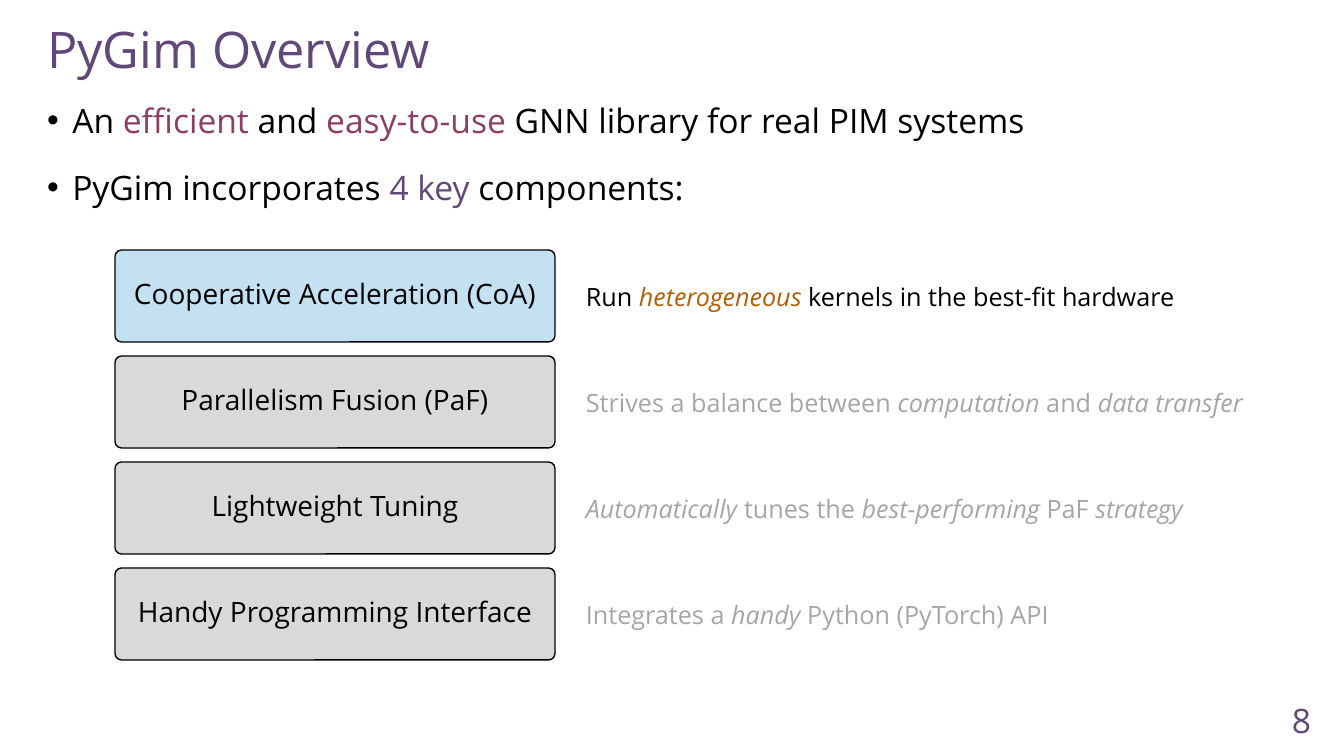
"""Build the PyGim overview slide with its four key components."""
from pptx import Presentation, util as u
from pptx.dml.color import RGBColor
from pptx.enum import shapes, text

PX = 914400 / 100.8
COLORS = {"purple": "604878", "plum": "8D3E64", "black": "000000", "orange": "B45F07",
          "muted": "A6A6A6", "blue": "C4E1F2", "gray": "D9D9D9"}


def rgb(name):
    return RGBColor.from_string(COLORS[name])


def write(p, runs, size):
    for words, color, italic in runs:
        r = p.add_run()
        r.text = words
        for key, value in {"name": "Open Sans", "size": u.Pt(size), "italic": italic}.items():
            setattr(r.font, key, value)
        r.font.color.rgb = rgb(color)


def px(*lengths):
    return [u.Emu(round(n * PX)) for n in lengths]


prs = Presentation()
prs.slide_width, prs.slide_height = px(1344, 756)
s = prs.slides.add_slide(prs.slide_layouts[1])

title, body = s.placeholders
for sp, top, height, anchor in [(title, 6, 93, text.MSO_ANCHOR.MIDDLE),
                                (body, 99, 153, text.MSO_ANCHOR.TOP)]:
    sp.left, sp.top, sp.width, sp.height = px(37, top, 1268, height)
    for key, value in {"vertical_anchor": anchor, "auto_size": text.MSO_AUTO_SIZE.NONE,
                       "word_wrap": True}.items():
        setattr(sp.text_frame, key, value)

p = title.text_frame.paragraphs[0]
p.alignment, p.line_spacing = text.PP_ALIGN.LEFT, 0.9
write(p, [("PyGim Overview", "purple", False)], 36)

bullets = [
    (0, 10, [("An ", "black", False), ("efficient", "plum", False), (" and ", "black", False),
             ("easy-to-use", "plum", False),
             (" GNN library for real PIM systems", "black", False)]),
    (12, 0, [("PyGim incorporates ", "black", False), ("4 key ", "purple", False),
             ("components:", "black", False)]),
]
tf = body.text_frame
for i, (before, after, runs) in enumerate(bullets):
    p = tf.add_paragraph() if i else tf.paragraphs[0]
    for key, value in {"space_before": u.Pt(before), "space_after": u.Pt(after),
                       "line_spacing": 0.9, "alignment": text.PP_ALIGN.LEFT}.items():
        setattr(p, key, value)
    pPr = p._p.get_or_add_pPr()
    pPr.set("marL", str(u.Inches(0.25)))
    pPr.set("indent", str(-u.Inches(0.25)))
    write(p, runs, 24)

components = [
    ("Cooperative Acceleration (CoA)", "blue",
     [("Run ", "black", False), ("heterogeneous", "orange", True),
      (" kernels in the best-fit hardware", "black", False)]),
    ("Parallelism Fusion (PaF)", "gray",
     [("Strives a balance between ", "muted", False), ("computation", "muted", True),
      (" and ", "muted", False), ("data transfer", "muted", True)]),
    ("Lightweight Tuning", "gray",
     [("Automatically", "muted", True), (" tunes the ", "muted", False),
      ("best-performing ", "muted", True), ("PaF ", "muted", False),
      ("strategy", "muted", True)]),
    ("Handy Programming Interface", "gray",
     [("Integrates a ", "muted", False), ("handy", "muted", True),
      (" Python (PyTorch) API", "muted", False)]),
]
for i, (name, fill, caption) in enumerate(components):
    box = s.shapes.add_shape(shapes.MSO_SHAPE.ROUNDED_RECTANGLE, *px(115, 250 + 106 * i, 440, 92))
    box.adjustments[0] = 0.07
    box.shadow.inherit = False
    box.fill.solid()
    box.fill.fore_color.rgb = rgb(fill)
    box.line.color.rgb = rgb("black")
    box.line.width = u.Pt(1)
    tf = box.text_frame
    for key, value in {"margin_top": 0, "margin_bottom": u.Inches(0.05), "word_wrap": True,
                       "vertical_anchor": text.MSO_ANCHOR.MIDDLE}.items():
        setattr(tf, key, value)
    tf.paragraphs[0].alignment = text.PP_ALIGN.CENTER
    write(tf.paragraphs[0], [(name, "black", False)], 20)

    note = s.shapes.add_textbox(*px(576, 276 + 106 * i, 682, 40))
    note.text_frame.word_wrap = True
    write(note.text_frame.paragraphs[0], caption, 18)

number = s.shapes.add_textbox(*px(1019, 700, 302, 40))
tf = number.text_frame
tf.word_wrap, tf.vertical_anchor = True, text.MSO_ANCHOR.MIDDLE
tf.paragraphs[0].alignment = text.PP_ALIGN.RIGHT
write(tf.paragraphs[0], [("8", "purple", False)], 24)

prs.save("out.pptx")
